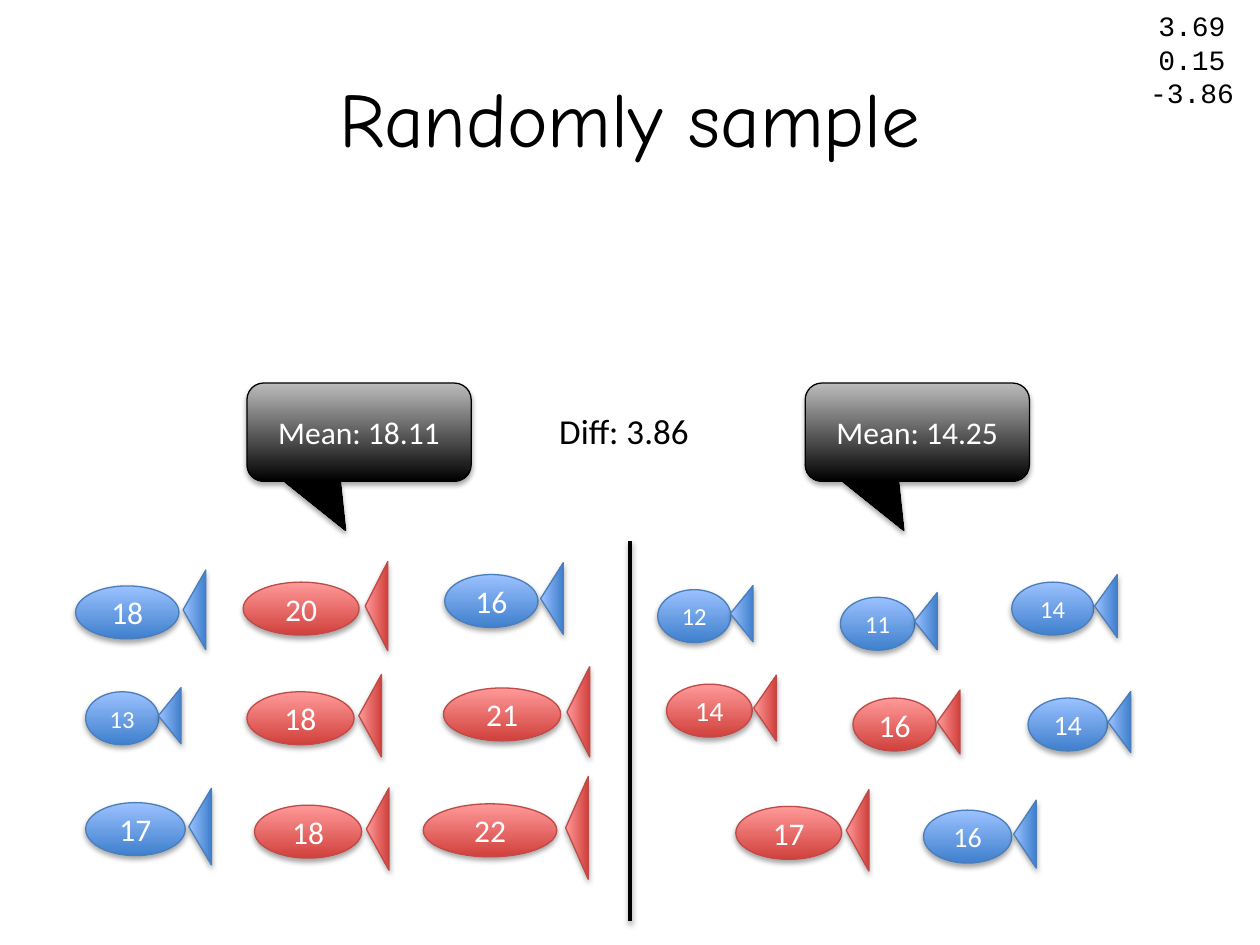
from lxml.etree import SubElement
from pptx import Presentation
from pptx.dml.color import RGBColor
from pptx.enum.shapes import MSO_CONNECTOR, MSO_SHAPE
from pptx.enum.text import MSO_ANCHOR, PP_ALIGN
from pptx.oxml.ns import qn
from pptx.util import Inches, Pt


def decorate(shape, palette):
    if palette:
        top, bottom, outline = palette
        shape.fill.gradient()
        shape.fill.gradient_angle = 270
        for stop, color in zip(shape.fill.gradient_stops, (top, bottom)):
            stop.color.rgb = RGBColor.from_string(color)
        shape.line.color.rgb = RGBColor.from_string(outline)
        shape.line.width = Pt(0.75)
    effects = SubElement(shape._element.spPr, qn("a:effectLst"))
    shadow = SubElement(effects, qn("a:outerShdw"), blurRad=str(Pt(3.1)), dist=str(Pt(1.8)),
                        dir="5400000", rotWithShape="0")
    tint = SubElement(shadow, qn("a:srgbClr"), val="000000")
    SubElement(tint, qn("a:alpha"), val="35000")


def write(shape, text, size, font="Calibri", color="000000",
          align=PP_ALIGN.CENTER, anchor=MSO_ANCHOR.MIDDLE, wrap=False):
    frame = shape.text_frame
    frame.text = text
    frame.word_wrap = wrap
    frame.vertical_anchor = anchor
    for para in frame.paragraphs:
        para.alignment = align
        for span in para.runs:
            span.font.size = Pt(size)
            span.font.name = font
            span.font.color.rgb = RGBColor.from_string(color)


BLUE = ("9BC1FF", "3F80CD", "4A7EBB")
RED = ("FF9A99", "D1403C", "BE4B48")
BLACK = ("BCBCBC", "000000", "000000")
BODY_HEIGHT = 0.42
TAIL_DEPTH = 0.18

deck = Presentation()
deck.slide_width = Inches(10)
deck.slide_height = Inches(7.5)
page = deck.slides.add_slide(deck.slide_layouts[6])

title = page.shapes.add_textbox(Inches(0.5), Inches(0.3), Inches(9), Inches(1.25))
write(title, "Randomly sample", 44, font="Comic Neue", wrap=True)

fishes = [
    ("12", 14, BLUE, 5.22, 4.68, 0.58),
    ("17", 18, BLUE, 0.68, 6.37, 0.79),
    ("14", 16, BLUE, 8.16, 5.54, 0.63),
    ("21", 18, RED, 3.52, 5.46, 0.93),
    ("16", 18, RED, 6.77, 5.54, 0.66),
    ("18", 18, RED, 1.96, 5.49, 0.85),
    ("13", 14, BLUE, 0.68, 5.49, 0.58),
    ("18", 18, BLUE, 0.6, 4.65, 0.82),
    ("11", 14, BLUE, 6.67, 4.74, 0.59),
    ("14", 16, RED, 5.29, 5.43, 0.68),
    ("20", 18, RED, 1.93, 4.62, 0.92),
    ("22", 18, RED, 3.36, 6.38, 1.06),
    ("14", 14, BLUE, 8.03, 4.62, 0.65),
    ("16", 18, BLUE, 3.53, 4.56, 0.74),
    ("16", 16, BLUE, 7.33, 6.43, 0.7),
    ("17", 18, RED, 5.84, 6.4, 0.84),
    ("18", 18, RED, 2.02, 6.39, 0.85),
]
for length, size, palette, left, top, width in fishes:
    fish = page.shapes.add_group_shape()
    body = fish.shapes.add_shape(MSO_SHAPE.OVAL, Inches(left), Inches(top),
                                 Inches(width), Inches(BODY_HEIGHT))
    decorate(body, palette)
    write(body, length, size, color="FFFFFF")

    span_width = 0.77 * width
    center_x = left + 1.15 * width
    center_y = top + BODY_HEIGHT / 2 - 0.02
    tail = fish.shapes.add_shape(MSO_SHAPE.ISOSCELES_TRIANGLE,
                                 Inches(center_x - span_width / 2),
                                 Inches(center_y - TAIL_DEPTH / 2),
                                 Inches(span_width), Inches(TAIL_DEPTH))
    tail.rotation = 270
    decorate(tail, palette)

divider = page.shapes.add_connector(MSO_CONNECTOR.STRAIGHT, Inches(5), Inches(7.31),
                                    Inches(5), Inches(4.29))
divider.line.color.rgb = RGBColor.from_string("000000")
divider.line.width = Pt(2)
decorate(divider, None)

for left, mean in ((1.96, "Mean: 18.11"), (6.39, "Mean: 14.25")):
    callout = page.shapes.add_shape(MSO_SHAPE.ROUNDED_RECTANGULAR_CALLOUT, Inches(left),
                                    Inches(3.04), Inches(1.78), Inches(0.78))
    callout.adjustments[0] = -0.06
    callout.adjustments[1] = 1
    callout.adjustments[2] = 0.17
    decorate(callout, BLACK)
    write(callout, mean, 18, color="FFFFFF")

difference = page.shapes.add_textbox(Inches(4.34), Inches(3.2), Inches(1.24), Inches(0.44))
write(difference, "Diff: 3.86", 20, align=PP_ALIGN.LEFT, anchor=MSO_ANCHOR.TOP)

results = page.shapes.add_textbox(Inches(9.02), Inches(0.02), Inches(0.88), Inches(0.91))
write(results, "3.69\n0.15\n-3.86", 16, font="Courier New", anchor=MSO_ANCHOR.TOP)

deck.save("out.pptx")
